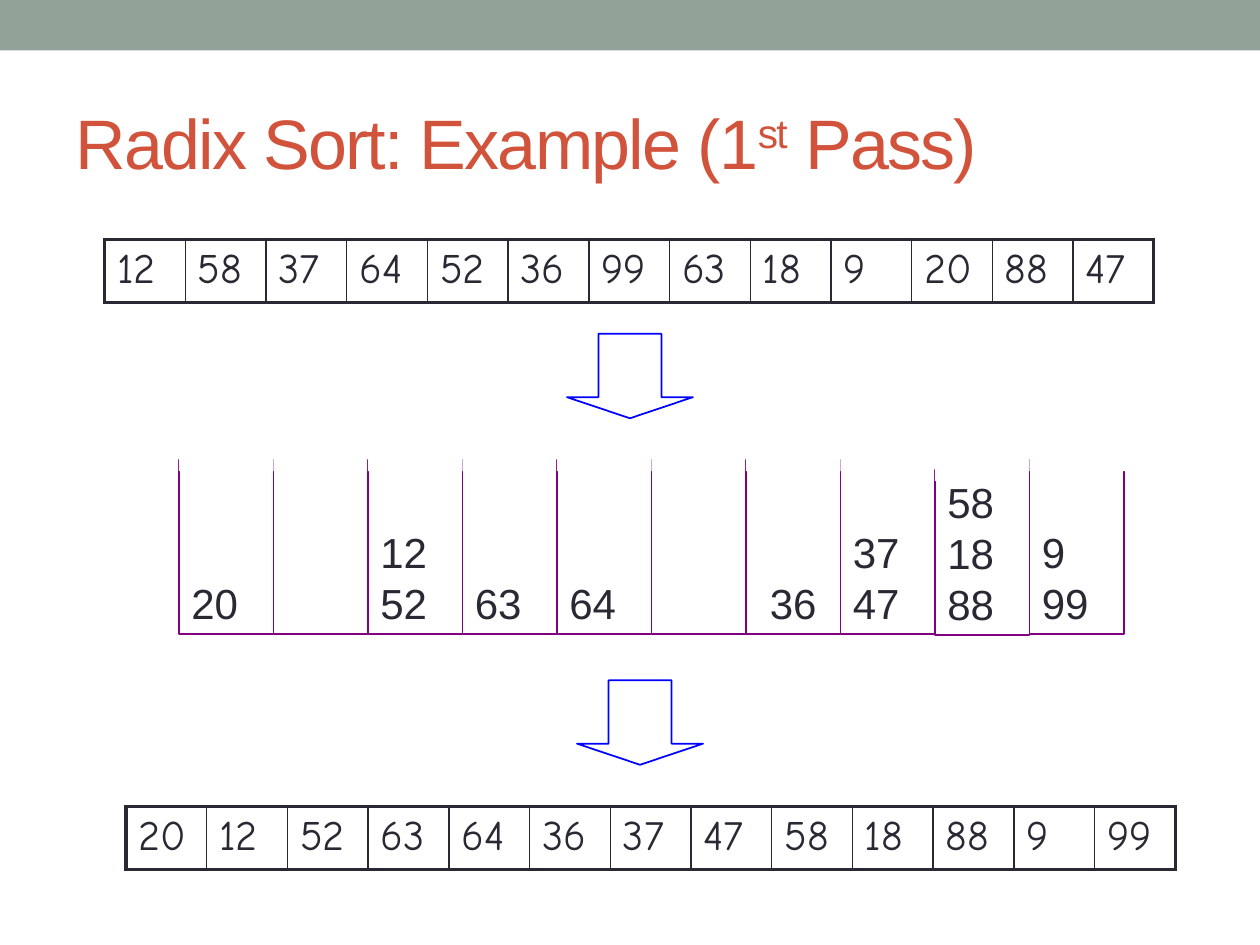
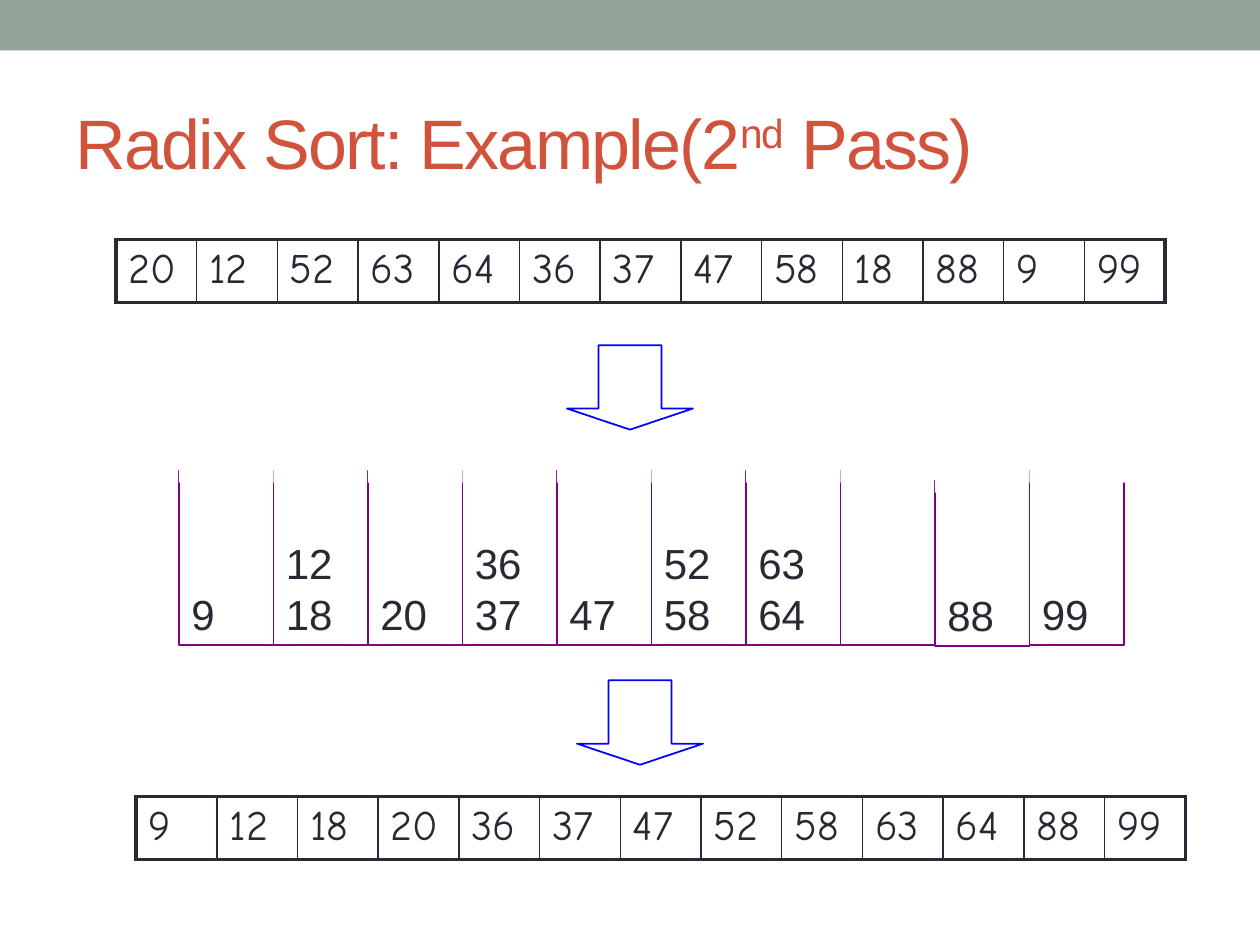
import pptx
import pptx.dml.color
import pptx.enum.shapes
import pptx.enum.text
import pptx.oxml
import pptx.oxml.ns
import pptx.util
from lxml import etree

Inches = pptx.util.Inches
Pt = pptx.util.Pt
SHAPES = pptx.enum.shapes.MSO_SHAPE
ANCHOR = pptx.enum.text.MSO_ANCHOR


def rgb(value):
    return pptx.dml.color.RGBColor.from_string(value)


class Deck:
    ink = "292934"
    title_color = "D2533C"
    band_color = "93A299"
    bin_color = "800080"
    arrow_color = "0000FF"
    white = "FFFFFF"
    text_font = "Arial"
    table_font = "Comic Neue"
    text_size = 24
    title_size = 40
    bin_left = 1.42
    bin_width = 0.75

    def __init__(self):
        self.prs = pptx.Presentation()
        self.prs.slide_width = Inches(10)
        self.prs.slide_height = Inches(7.5)
        self.s = None

    def add_slide(self, title_parts):
        self.s = self.prs.slides.add_slide(self.prs.slide_layouts[6])
        self.shape(SHAPES.RECTANGLE, 0, 0, 10, 0.4, fill=self.band_color)
        self.title(title_parts)

    def style(self, r, name, size, color):
        r.font.name = name
        r.font.size = Pt(size)
        r.font.color.rgb = rgb(color)

    def shape(self, kind, left, top, width, height, fill=None, line=None):
        sp = self.s.shapes.add_shape(
            kind, Inches(left), Inches(top), Inches(width), Inches(height))
        sp.shadow.inherit = False
        if fill:
            sp.fill.solid()
            sp.fill.fore_color.rgb = rgb(fill)
        else:
            sp.fill.background()
        if line:
            sp.line.color.rgb = rgb(line)
            sp.line.width = Pt(1)
        else:
            sp.line.fill.background()
        return sp

    def title(self, parts):
        sp = self.s.shapes.add_textbox(
            Inches(0.5), Inches(0.58), Inches(9), Inches(1.08))
        tf = sp.text_frame
        tf.word_wrap = True
        tf.vertical_anchor = ANCHOR.MIDDLE
        for text, baseline in zip(parts, (0, 30000, 0)):
            r = tf.paragraphs[0].add_run()
            r.text = text
            self.style(r, self.text_font, self.title_size, self.title_color)
            properties = r._r.get_or_add_rPr()
            properties.set("spc", "-100")
            properties.set("baseline", str(baseline))

    def border(self, cell, side, width):
        ln = etree.SubElement(
            cell._tc.get_or_add_tcPr(), pptx.oxml.ns.qn(f"a:ln{side}"), w=str(Pt(width)))
        fill = etree.SubElement(ln, pptx.oxml.ns.qn("a:solidFill"))
        etree.SubElement(fill, pptx.oxml.ns.qn("a:srgbClr"), val=self.ink)

    def array(self, left, top, values):
        last = len(values) - 1
        table = self.s.shapes.add_table(
            1, len(values), Inches(left), Inches(top), Inches(8.33), Inches(0.5)).table
        table.first_row = False
        table.horz_banding = False
        for i, value in enumerate(values):
            cell = table.cell(0, i)
            cell.text_frame.text = str(value)
            r = cell.text_frame.paragraphs[0].runs[0]
            self.style(r, self.table_font, self.text_size, self.ink)
            self.border(cell, "L", 2.25 if i == 0 else 1)
            self.border(cell, "R", 2.25 if i == last else 1)
            self.border(cell, "T", 2.25)
            self.border(cell, "B", 2.25)
            cell.fill.background()

    def arrow(self, left, top):
        sp = self.shape(SHAPES.DOWN_ARROW, left, top, 1, 0.67, line=self.arrow_color)
        sp.adjustments[0] = 0.5
        sp.adjustments[1] = 0.25

    def bin(self, left, top, height, cover_width, values, indent):
        sp = self.shape(SHAPES.RECTANGLE, left, top, self.bin_width, height,
                        line=self.bin_color)
        if values:
            tf = sp.text_frame
            tf.word_wrap = True
            tf.vertical_anchor = ANCHOR.BOTTOM
            tf.margin_left = Inches(0.1 + indent)
            tf.text = "\n".join(map(str, values))
            for p in tf.paragraphs:
                p.alignment = pptx.enum.text.PP_ALIGN.LEFT
                p.line_spacing = Pt(29)
                self.style(p.runs[0], self.text_font, self.text_size, self.ink)
        self.shape(SHAPES.RECTANGLE, left, top - 0.25, cover_width, 0.34, fill=self.white)

    def bins(self, top, digits, indents):
        for digit, values in enumerate(digits):
            left = self.bin_left + digit * self.bin_width
            indent = indents.get(digit, 0)
            if digit == 8:
                self.bin(left, top + 0.08, 1.31, 0.75, values, indent)
            else:
                self.bin(left, top, 1.38, 0.81, values, indent)


UNSORTED = [12, 58, 37, 64, 52, 36, 99, 63, 18, 9, 20, 88, 47]
BY_UNITS = [20, 12, 52, 63, 64, 36, 37, 47, 58, 18, 88, 9, 99]

PASSES = [
    dict(title=("Radix Sort: Example (1", "st", " Pass)"),
         before=UNSORTED, before_at=(0.83, 1.9),
         after=BY_UNITS, after_at=(1, 6.4),
         arrow_top=2.65, bins_top=3.65, indents={6: 0.09},
         digits=[[20], [], [12, 52], [63], [64], [], [36], [37, 47],
                 [58, 18, 88], [9, 99]]),
    dict(title=("Radix Sort: Example(2", "nd", " Pass)"),
         before=BY_UNITS, before_at=(0.92, 1.9),
         after=sorted(BY_UNITS), after_at=(1.08, 6.32),
         arrow_top=2.74, bins_top=3.74, indents={},
         digits=[[9], [12, 18], [20], [36, 37], [47], [52, 58], [63, 64], [],
                 [88], [99]]),
]


def main():
    deck = Deck()
    for step in PASSES:
        deck.add_slide(step["title"])
        deck.array(*step["before_at"], step["before"])
        deck.arrow(4.5, step["arrow_top"])
        deck.bins(step["bins_top"], step["digits"], step["indents"])
        deck.arrow(4.58, 5.4)
        deck.array(*step["after_at"], step["after"])
    deck.prs.save("out.pptx")


if __name__ == "__main__":
    main()
